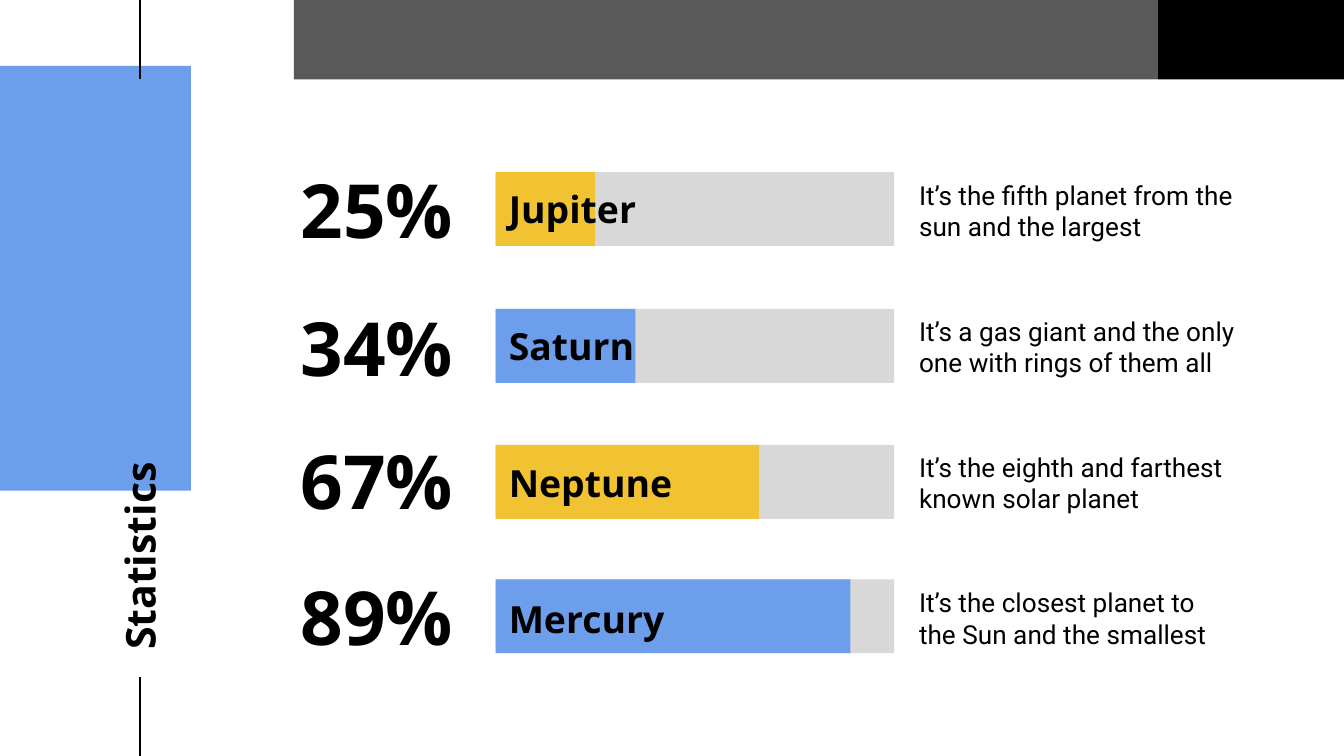
from pptx import Presentation
from pptx.dml.color import RGBColor
from pptx.enum.shapes import MSO_CONNECTOR, MSO_SHAPE
from pptx.enum.text import MSO_ANCHOR, PP_ALIGN
from pptx.oxml.ns import qn
from pptx.util import Pt
from lxml.etree import SubElement

BLACK = RGBColor(0x00, 0x00, 0x00)
CHARCOAL = RGBColor(0x59, 0x59, 0x59)
GREY = RGBColor(0xD8, 0xD8, 0xD8)
BLUE = RGBColor(0x6D, 0x9E, 0xEB)
YELLOW = RGBColor(0xF1, 0xC2, 0x32)

PLANETS = [
    ("25%", 87.1, "Jupiter", 92.2, 53.3, YELLOW,
     "It’s the fifth planet from the sun and the largest"),
    ("34%", 161.3, "Saturn", 165.5, 74.9, BLUE,
     "It’s a gas giant and the only one with rings of them all"),
    ("67%", 232.6, "Neptune", 238.4, 141.1, YELLOW,
     "It’s the eighth and farthest known solar planet"),
    ("89%", 305.3, "Mercury", 310.4, 190.1, BLUE,
     "It’s the closest planet to the Sun and the smallest"),
]
BAR_LEFT, BAR_WIDTH, BAR_HEIGHT = 265.5, 213.6, 39.6
NAME_TOP, NAME_PITCH = 98.6, 73.2
FACT_TOP, FACT_PITCH = 87.8, 72.7
AXIS = 75


class StatisticsSlide:
    formats = {
        "title": {"name": "Open Sans", "size": Pt(22), "bold": True},
        "share": {"name": "Open Sans", "size": Pt(40), "bold": True},
        "planet": {"name": "Open Sans", "size": Pt(20), "bold": True},
        "fact": {"name": "Roboto", "size": Pt(14), "bold": False},
    }
    frame_format = {
        "word_wrap": True,
        "vertical_anchor": MSO_ANCHOR.MIDDLE,
        "margin_left": Pt(7.2),
        "margin_right": Pt(7.2),
        "margin_top": Pt(7.2),
        "margin_bottom": Pt(7.2),
    }

    def __init__(self, slide):
        self.shapes = slide.shapes

    def block(self, left, top, width, height, color):
        block = self.shapes.add_shape(
            MSO_SHAPE.RECTANGLE, Pt(left), Pt(top), Pt(width), Pt(height))
        block.shadow.inherit = False
        block.fill.solid()
        block.fill.fore_color.rgb = color
        block.line.fill.background()

    def rule(self, x, top, bottom):
        rule = self.shapes.add_connector(
            MSO_CONNECTOR.STRAIGHT, Pt(x), Pt(top), Pt(x), Pt(bottom))
        rule.line.color.rgb = BLACK
        rule.line.width = Pt(1.5)
        SubElement(rule._element.spPr, qn("a:effectLst"))

    def text(self, words, style, left, top, width, height,
             align=PP_ALIGN.LEFT, rotation=0):
        box = self.shapes.add_textbox(Pt(left), Pt(top), Pt(width), Pt(height))
        box.rotation = rotation
        for key, value in self.frame_format.items():
            setattr(box.text_frame, key, value)
        paragraph = box.text_frame.paragraphs[0]
        paragraph.alignment = align
        run = paragraph.add_run()
        run.text = words
        for key, value in self.formats[style].items():
            setattr(run.font, key, value)
        run.font.color.rgb = BLACK


def main():
    deck = Presentation()
    deck.slide_width, deck.slide_height = Pt(720), Pt(405)
    page = StatisticsSlide(deck.slides.add_slide(deck.slide_layouts[6]))

    page.block(620.4, 0, 99.6, 42.5, BLACK)
    page.block(157.5, 0, 462.9, 42.5, CHARCOAL)
    page.block(0, 35.3, 102.3, 227.6, BLUE)
    page.rule(AXIS, 0, 42.5)
    page.rule(AXIS, 362.5, 405)
    page.text("Statistics", "title", -78.5, 183.6, 306, 37.4, rotation=270)

    for row, planet in enumerate(PLANETS):
        share, share_top, name, bar_top, filled, color, fact = planet
        page.block(BAR_LEFT, bar_top, BAR_WIDTH, BAR_HEIGHT, GREY)
        page.block(BAR_LEFT, bar_top, filled, BAR_HEIGHT, color)
        page.text(share, "share", 148.3, share_top, 107.3, 49, PP_ALIGN.CENTER)
        page.text(name, "planet", BAR_LEFT, NAME_TOP + row * NAME_PITCH, 149, 26.6)
        page.text(fact, "fact", 485.3, FACT_TOP + row * FACT_PITCH, 184.3, 50.4)

    deck.save("out.pptx")


if __name__ == "__main__":
    main()
